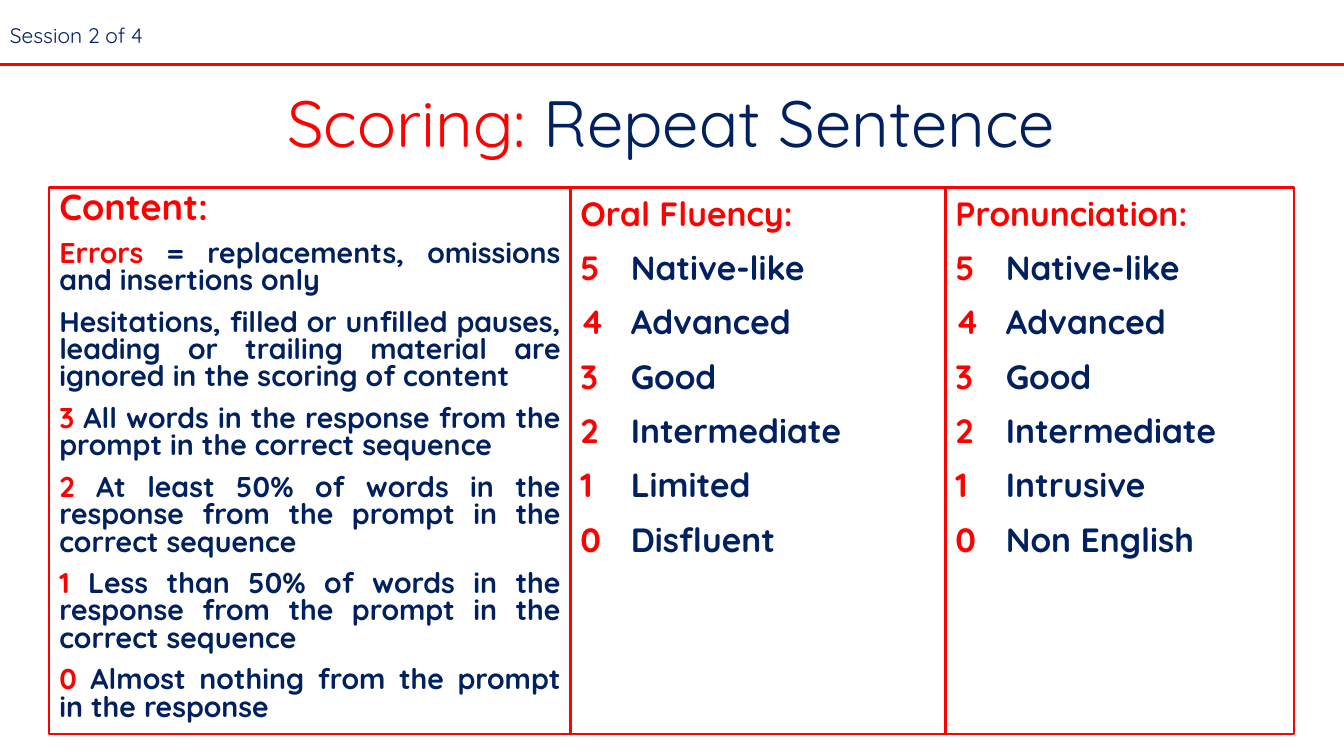
from lxml import etree
from pptx import Presentation, util as u
from pptx.dml.color import RGBColor
from pptx.enum import shapes, text
from pptx.oxml.ns import qn

RED, NAVY = "FF0000", "002060"


def tint(code):
    return RGBColor.from_string(code)


class Deck:
    font = "Quicksand"

    def __init__(self, wide, high):
        self.prs = Presentation()
        self.prs.slide_width, self.prs.slide_height = u.Pt(wide), u.Pt(high)
        self.slide = self.prs.slides.add_slide(self.prs.slide_layouts[6])

    def letter(self, frame, paras, anchor, align, gap=0, lead=None, bold=False):
        """Each paragraph is a list of (words, size, colour) runs."""
        frame.word_wrap = True
        frame.vertical_anchor = anchor
        for i, runs in enumerate(paras):
            para = frame.add_paragraph() if i else frame.paragraphs[0]
            para.alignment = align
            para.space_before = u.Pt(gap)
            if lead:
                para.line_spacing = lead
            for words, size, color in runs:
                run = para.add_run()
                run.text = words
                run.font.name = self.font
                run.font.size = u.Pt(size)
                run.font.bold = bold
                run.font.color.rgb = tint(color)

    def label(self, x, y, w, h, runs, align, gap=0):
        box = self.slide.shapes.add_textbox(u.Pt(x), u.Pt(y), u.Pt(w), u.Pt(h))
        self.letter(box.text_frame, [runs], text.MSO_ANCHOR.MIDDLE, align, gap, 0.9)

    def panel(self, x, y, w, h, paras, lead=None):
        box = self.slide.shapes.add_shape(
            shapes.MSO_SHAPE.RECTANGLE, u.Pt(x), u.Pt(y), u.Pt(w), u.Pt(h))
        box.shadow.inherit = False
        box.fill.background()
        box.line.color.rgb = tint(RED)
        box.line.width = u.Pt(1.5)
        self.letter(box.text_frame, paras, text.MSO_ANCHOR.TOP,
                    text.PP_ALIGN.JUSTIFY, 10, lead, True)

    def rule(self, x1, x2, y):
        line = self.slide.shapes.add_connector(
            shapes.MSO_CONNECTOR.STRAIGHT, u.Pt(x1), u.Pt(y), u.Pt(x2), u.Pt(y))
        line.line.color.rgb = tint(RED)
        line.line.width = u.Pt(2.25)
        etree.SubElement(line._element.spPr, qn("a:effectLst"))


def scale(head, names):
    """Heading, then the scores counting down to 0."""
    rows = [[(head, 24, RED)]]
    for score, name in zip(range(len(names) - 1, -1, -1), names):
        rows.append([(str(score), 24, RED), (" \t" + name, 24, NAVY)])
    return rows


def main():
    deck = Deck(960, 540)

    # Header and title
    deck.label(119.5, 56.9, 720, 66.2,
               [("Scoring: ", 46.7, RED), ("Repeat Sentence", 46.7, NAVY)],
               text.PP_ALIGN.CENTER)
    deck.rule(-0.7, 968.4, 46.1)
    deck.label(0, 13.7, 139, 24.5, [("Session 2 of 4", 15, NAVY)],
               text.PP_ALIGN.LEFT, 10)

    # Content rules: red lead, navy text
    rules = [
        ("Errors ", "= replacements, omissions and insertions only"),
        ("", "Hesitations, filled or unfilled pauses, leading or trailing "
             "material are ignored in the scoring of content"),
        ("3 ", "All words in the response from the prompt in the correct sequence"),
        ("2", " At least 50% of words in the response from the prompt "
              "in the correct sequence"),
        ("1", " Less than 50% of words in the response from the prompt "
              "in the correct sequence"),
        ("0", " Almost nothing from the prompt in the response"),
    ]
    content = [[("Content:", 25.9, RED), (" ", 22.2, RED)]]
    for lead, rest in rules:
        pair = [(lead, 20.4, RED), (rest, 20.4, NAVY)]
        content.append([run for run in pair if run[0]])

    # Three panels side by side
    top = ["Native-like ", "Advanced", "Good", "Intermediate"]
    panels = [
        (372.2, content, 0.8),
        (267.9, scale("Oral Fluency: ", top + ["Limited", "Disfluent"]), None),
        (249.1, scale("Pronunciation: ", top + ["Intrusive", "Non English"]), None),
    ]
    x = 35.3
    for wide, paras, lead in panels:
        deck.panel(x, 133.9, wide, 390.3, paras, lead)
        x += wide

    deck.prs.save("out.pptx")


if __name__ == "__main__":
    main()
